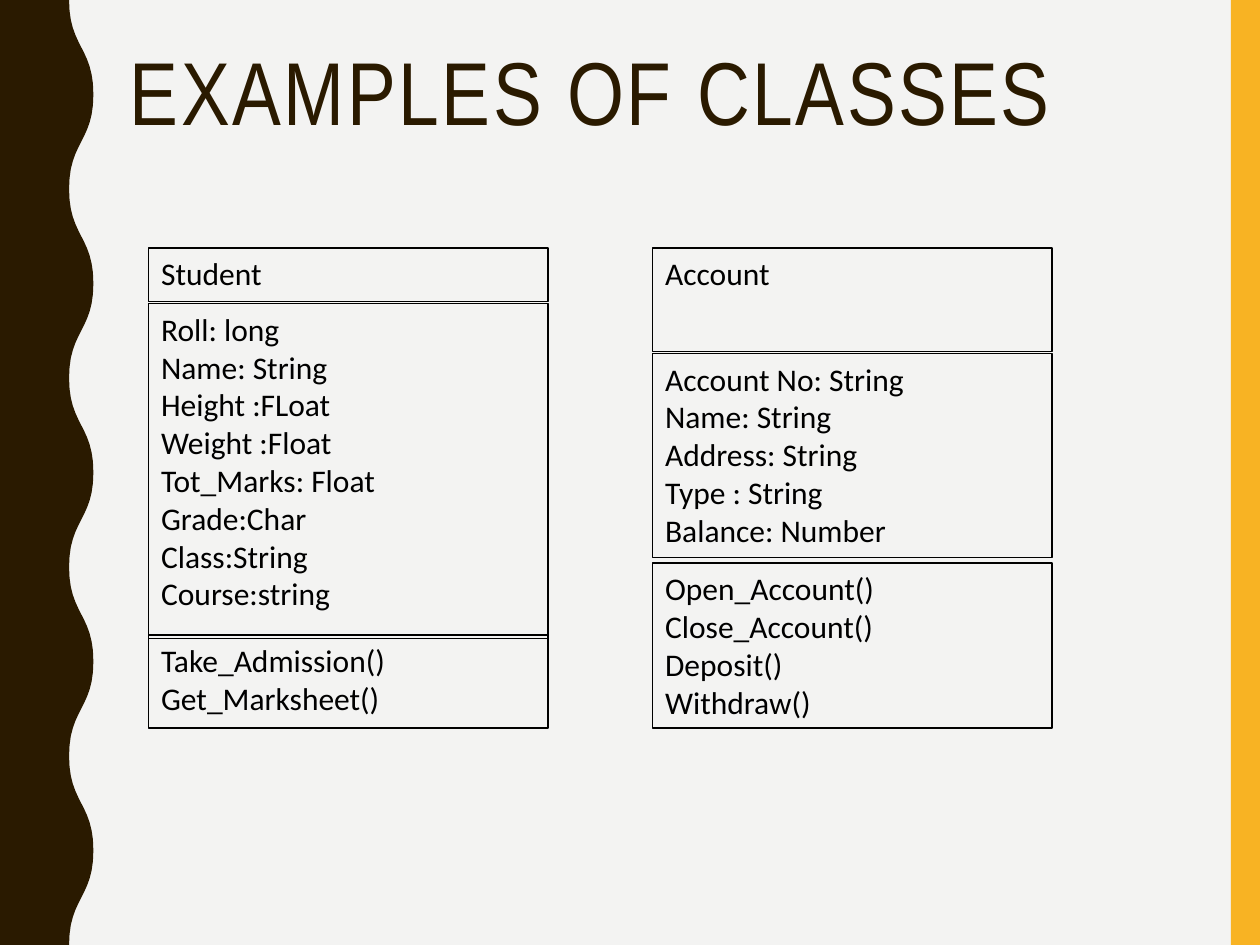
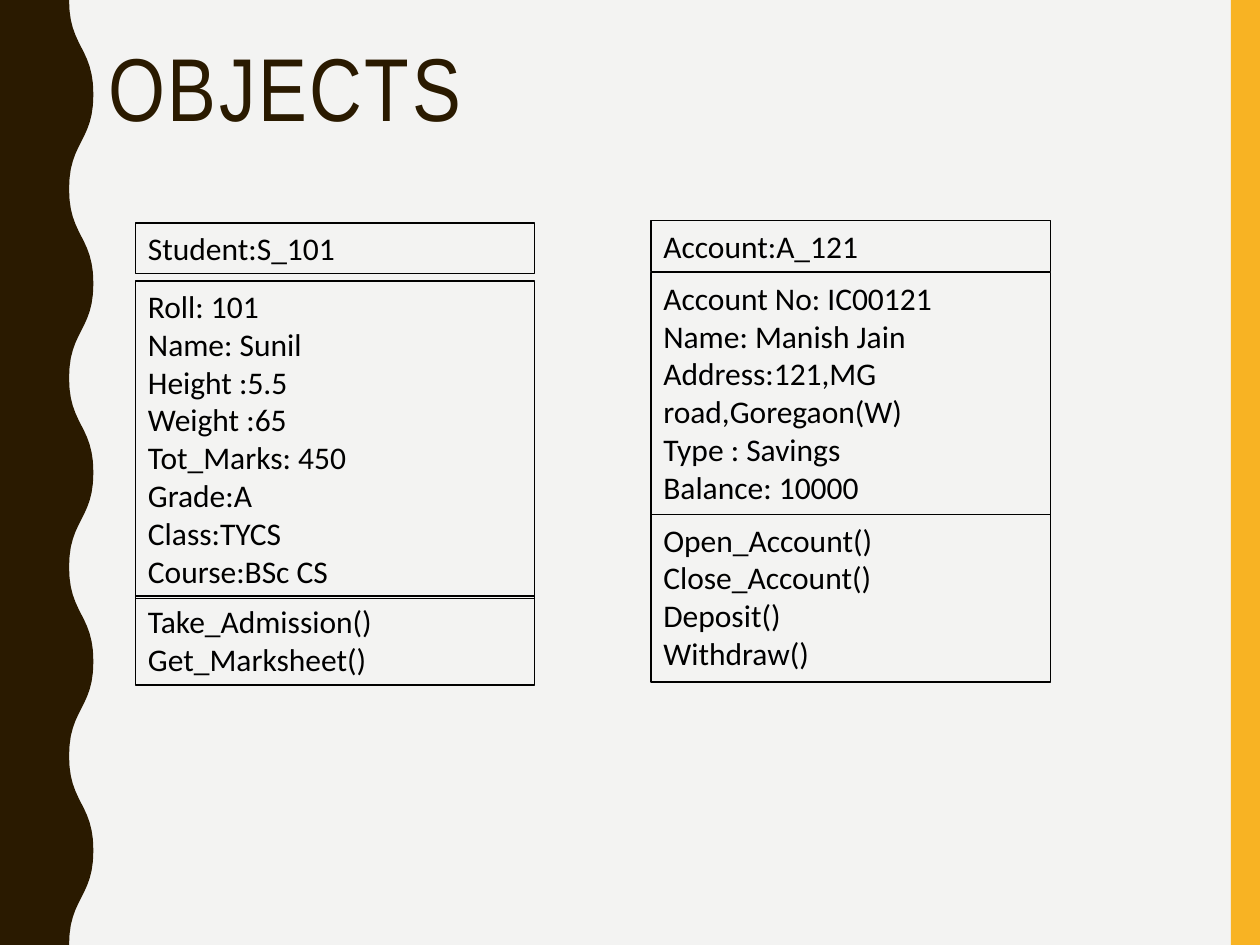
from dataclasses import dataclass

from pptx import Presentation
from pptx.dml.color import RGBColor
from pptx.enum.shapes import MSO_SHAPE
from pptx.enum.text import MSO_ANCHOR, MSO_AUTO_SIZE, PP_ALIGN
from pptx.util import Pt

RECTANGLE = MSO_SHAPE.RECTANGLE
TOP = MSO_ANCHOR.TOP
NO_AUTOFIT = MSO_AUTO_SIZE.NONE
LEFT = PP_ALIGN.LEFT

SLIDE_W, SLIDE_H = 720, 540
CARD_W = 228.2
TITLE_ONLY = 5


@dataclass(frozen=True)
class Theme:
    paper: RGBColor = RGBColor.from_string("F3F3F2")
    brown: RGBColor = RGBColor.from_string("2A1A00")
    amber: RGBColor = RGBColor.from_string("F8B323")
    ink: RGBColor = RGBColor.from_string("000000")
    title_font: str = "Arial Narrow"
    body_font: str = "Calibri"
    title_size: float = 51
    body_size: float = 18
    outline: float = 0.75


THEME = Theme()


def write_text(frame, lines, *, font, size, color, line_spacing=None, tracking=None):
    """Fill a text frame, one paragraph for each line."""
    frame.word_wrap = True
    frame.auto_size = NO_AUTOFIT
    frame.vertical_anchor = TOP
    for index, line in enumerate(lines):
        paragraph = frame.paragraphs[0] if index == 0 else frame.add_paragraph()
        paragraph.alignment = LEFT
        if line_spacing:
            paragraph.line_spacing = line_spacing
        run = paragraph.add_run()
        run.text = line
        run.font.name = font
        run.font.size = Pt(size)
        run.font.color.rgb = color
        if tracking:
            run.font._element.set("spc", str(round(tracking * 100)))


def fill_plain(shape, color):
    shape.shadow.inherit = False
    shape.fill.solid()
    shape.fill.fore_color.rgb = color
    shape.line.fill.background()


def wavy_edge(trough=39.5, crest=53.4, half_wave=54, steps=12):
    """Points down the wavy edge, which swings once every half wave."""
    points = []
    for half in range(SLIDE_H // half_wave):
        start, end = (trough, crest) if half % 2 == 0 else (crest, trough)
        for step in range(steps + 1):
            t = step / steps
            x = start + (end - start) * (3 * t**2 - 2 * t**3)
            y = half_wave * (half + 1.5 * t * (1 - t) + t**3)
            points.append((Pt(x), Pt(y)))
    return points


def decorate_master(master, slide):
    """Give the master its background, amber band and wavy brown edge."""
    master.background.fill.solid()
    master.background.fill.fore_color.rgb = THEME.paper

    band_left = 703.3
    band = slide.shapes.add_shape(
        RECTANGLE, Pt(band_left), 0, Pt(SLIDE_W - band_left), Pt(SLIDE_H))
    fill_plain(band, THEME.amber)

    outline = slide.shapes.build_freeform(0, 0)
    outline.add_line_segments(wavy_edge() + [(0, Pt(SLIDE_H))], close=True)
    wave = outline.convert_to_shape()
    fill_plain(wave, THEME.brown)

    # Both parts move behind the master's placeholders
    for position, part in enumerate((band, wave), start=2):
        master.shapes.element.insert(position, part._element)


def add_title(slide, text, box):
    title = slide.shapes.title
    title.left, title.top, title.width, title.height = map(Pt, box)
    write_text(title.text_frame, [text], font=THEME.title_font,
               size=THEME.title_size, color=THEME.brown,
               line_spacing=0.9, tracking=1.5)


def add_card(slide, left, top, compartments):
    """Class card: compartments are (offset from top, height, lines)."""
    card = slide.shapes.add_group_shape()
    for offset, height, lines in compartments:
        compartment = card.shapes.add_shape(
            RECTANGLE, Pt(left), Pt(top + offset), Pt(CARD_W), Pt(height))
        compartment.shadow.inherit = False
        compartment.fill.background()
        compartment.line.color.rgb = THEME.ink
        compartment.line.width = Pt(THEME.outline)
        write_text(compartment.text_frame, lines, font=THEME.body_font,
                   size=THEME.body_size, color=THEME.ink)


def build_card_slide(slide, title, title_box, cards):
    add_title(slide, title, title_box)
    for left, top, compartments in cards:
        add_card(slide, left, top, compartments)


STUDENT_METHODS = ["Take_Admission()", "Get_Marksheet()"]
ACCOUNT_METHODS = ["Open_Account()", "Close_Account()", "Deposit()", "Withdraw()"]

# Title, title box, then cards as (left, top, compartments)
SLIDES = [
    ("EXAMPLES OF CLASSES", (67, 23.8, 583.2, 106.6), [
        (85, 141.8, [
            (0, 30.5, ["Student"]),
            (31.7, 191.5, ["Roll: long", "Name: String", "Height :FLoat",
                           "Weight :Float", "Tot_Marks: Float", "Grade:Char",
                           "Class:String", "Course:string"]),
            (221, 53.3, STUDENT_METHODS),
        ]),
        (373, 141.8, [
            (0, 59, ["Account"]),
            (60.2, 116.6, ["Account No: String", "Name: String",
                           "Address: String", "Type : String",
                           "Balance: Number"]),
            (180, 94.3, ACCOUNT_METHODS),
        ]),
    ]),
    ("OBJECTS", (54.7, 21.6, 611.3, 104.4), [
        (77.5, 127.5, [
            (0, 28.8, ["Student:S_101"]),
            (33, 181.4, ["Roll: 101", "Name: Sunil", "Height :5.5",
                         "Weight :65", "Tot_Marks: 450", "Grade:A",
                         "Class:TYCS", "Course:BSc CS"]),
            (213, 51, STUDENT_METHODS),
        ]),
        (372, 126, [
            (0, 29, ["Account:A_121"]),
            (29.8, 138.2, ["Account No: IC00121", "Name: Manish Jain",
                           "Address:121,MG road,Goregaon(W)",
                           "Type : Savings", "Balance: 10000"]),
            (168, 95.8, ACCOUNT_METHODS),
        ]),
    ]),
]


def main():
    deck = Presentation()
    deck.slide_width, deck.slide_height = Pt(SLIDE_W), Pt(SLIDE_H)
    layout = deck.slide_layouts[TITLE_ONLY]
    for number, (title, title_box, cards) in enumerate(SLIDES):
        slide = deck.slides.add_slide(layout)
        if number == 0:
            decorate_master(deck.slide_master, slide)
        build_card_slide(slide, title, title_box, cards)
    deck.save("out.pptx")


if __name__ == "__main__":
    main()
